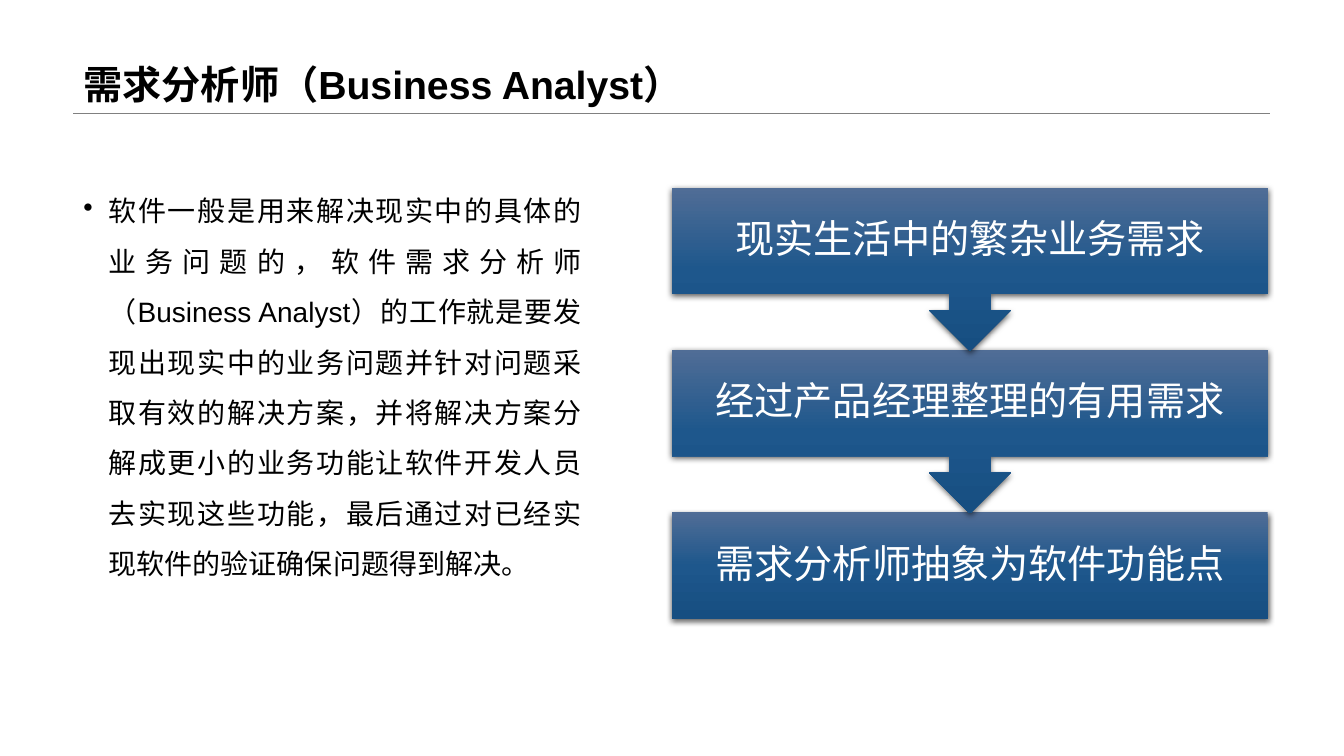
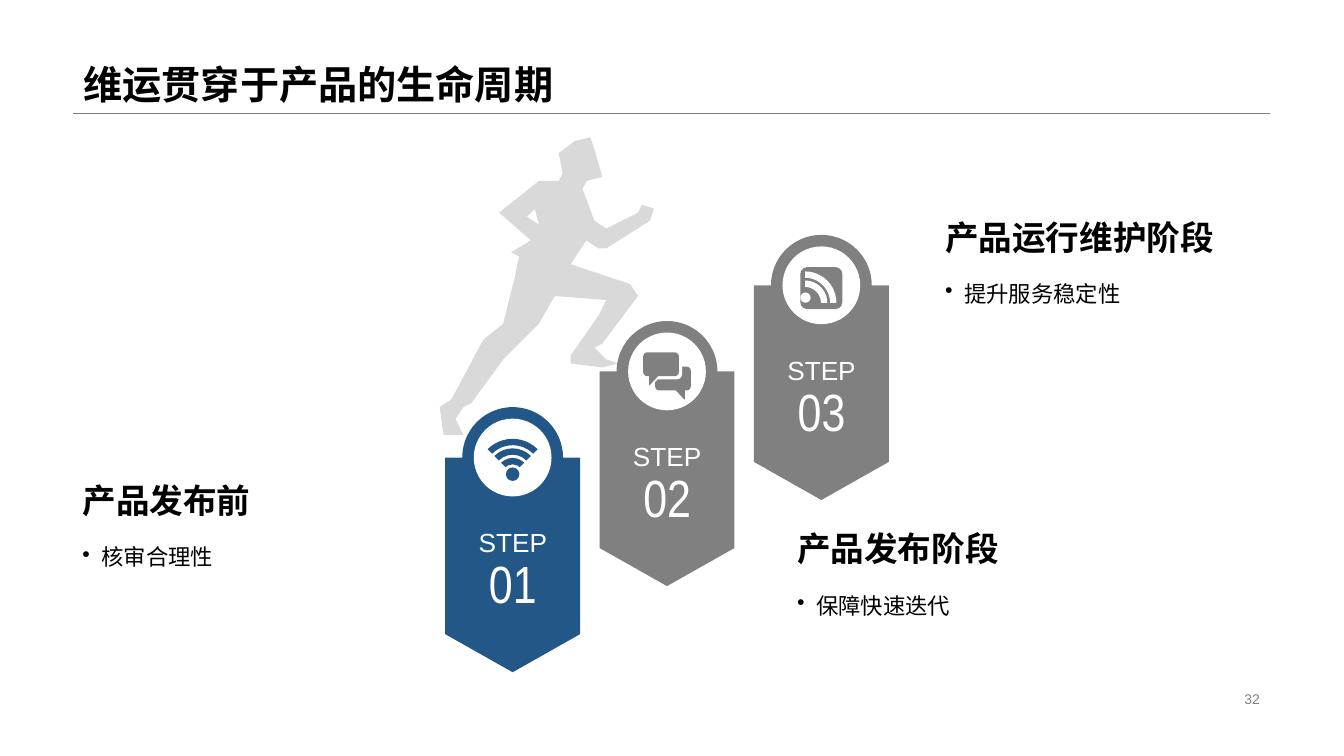
from lxml import etree
from pptx import Presentation
from pptx.dml.color import RGBColor
from pptx.enum import shapes, text
from pptx.oxml import parse_xml
from pptx.oxml.ns import nsdecls, qn
from pptx.util import Cm, Pt
import copy

COLORS = {"ink": "000000", "paper": "FFFFFF", "grey": "808080", "navy": "235787",
          "runner": "D9D9D9", "top": "506D96", "middle": "1E578C", "bottom": "164E81"}
RGB = {name: RGBColor.from_string(value) for name, value in COLORS.items()}
FONT = "Arial"
PRESET = shapes.MSO_SHAPE
ALIGN = text.PP_ALIGN
ANCHOR = text.MSO_ANCHOR


def write(frame, lines, align=ALIGN.LEFT, anchor=ANCHOR.TOP, spacing=1.0, indent=0):
    """Fill a text frame; each line is (text, font values), an indent adds a bullet."""
    frame.word_wrap = True
    frame.auto_size = text.MSO_AUTO_SIZE.NONE
    frame.vertical_anchor = anchor
    for number, (words, look) in enumerate(lines):
        line = frame.add_paragraph() if number else frame.paragraphs[0]
        line.alignment, line.line_spacing = align, spacing
        if indent:
            props = line._p.get_or_add_pPr()
            props.set("marL", str(Cm(indent)))
            props.set("indent", str(-Cm(indent)))
            etree.SubElement(props, qn("a:buChar")).set("char", "•")
        run = line.add_run()
        run.text = words
        values = {"name": FONT, "bold": False, "color": "ink"} | look
        run.font.color.rgb = RGB[values.pop("color")]
        for key, value in values.items():
            setattr(run.font, key, value)


def paint(figure, color):
    figure.shadow.inherit = False
    figure.fill.solid()
    figure.fill.fore_color.rgb = RGB[color]
    figure.line.fill.background()


deck = Presentation()
deck.slide_width, deck.slide_height = Cm(33.87), Cm(19.05)

# Both slides: title above a thin rule
slides = []
for heading in ("需求分析师（Business Analyst）", "维运贯穿于产品的生命周期"):
    slide = deck.slides.add_slide(deck.slide_layouts[5])
    title = slide.shapes.title
    title.left, title.top, title.width, title.height = Cm(1.85), Cm(0), Cm(30.15), Cm(2.86)
    write(title.text_frame, [(heading, {"size": Pt(28), "bold": True})],
          anchor=ANCHOR.BOTTOM, spacing=0.9)
    rule = slide.shapes.add_connector(shapes.MSO_CONNECTOR.STRAIGHT,
                                      Cm(1.85), Cm(2.86), Cm(32), Cm(2.86))
    rule.line.color.rgb = RGB["grey"]
    rule.line.width = Pt(0.25)
    etree.SubElement(rule._element.spPr, qn("a:effectLst"))
    slides.append(slide)
analyst, lifecycle = slides

# Slide 1: explanation on the left, three stages on the right
explanation = analyst.shapes.add_textbox(Cm(1.85), Cm(4.34), Cm(13.06), Cm(13.94))
write(explanation.text_frame, [(
    "软件一般是用来解决现实中的具体的业务问题的，软件需求分析师（Business Analyst）"
    "的工作就是要发现出现实中的业务问题并针对问题采取有效的解决方案，"
    "并将解决方案分解成更小的业务功能让软件开发人员去实现这些功能，"
    "最后通过对已经实现软件的验证确保问题得到解决。", {"size": Pt(20)})],
    align=ALIGN.JUSTIFY, spacing=1.5, indent=0.64)

stages = ("现实生活中的繁杂业务需求", "经过产品经理整理的有用需求", "需求分析师抽象为软件功能点")
for row in reversed(range(len(stages))):
    last = row == len(stages) - 1
    stage = analyst.shapes.add_shape(
        PRESET.RECTANGLE if last else PRESET.DOWN_ARROW_CALLOUT,
        Cm(16.94), Cm(4.73 + 4.09 * row), Cm(15.01), Cm(2.69 if last else 4.12))
    stage.line.fill.background()
    stage.fill.gradient()
    stage.fill.gradient_angle = 270
    stop_list = stage._element.spPr.find(qn("a:gradFill")).find(qn("a:gsLst"))
    stop_list.insert(1, copy.deepcopy(stop_list[0]))
    for stop, (position, shade) in zip(stage.fill.gradient_stops,
                                       ((0, "top"), (0.5, "middle"), (1, "bottom"))):
        stop.position = position
        stop.color.rgb = RGB[shade]
    stage._element.spPr.append(parse_xml(
        f'<a:effectLst {nsdecls("a")}><a:outerShdw blurRad="{Pt(4.5)}" dist="{Pt(1.5)}" '
        f'dir="5400000" rotWithShape="0"><a:srgbClr val="{COLORS["ink"]}">'
        '<a:alpha val="63000"/></a:srgbClr></a:outerShdw></a:effectLst>'))
    for side in ("left", "top", "right", "bottom"):
        setattr(stage.text_frame, f"margin_{side}", Cm(0.55))
    write(stage.text_frame, [(stages[row], {"size": Pt(28), "color": "paper"})],
          align=ALIGN.CENTER, anchor=ANCHOR.MIDDLE, spacing=0.9)

# Slide 2: running figure, in tenths of a centimetre from its top left corner
elbow_gap = [(24, 18), (22, 20), (25, 22)]
outline = [
    (38, 0), (39, 3), (41, 10), (37, 11), (36, 13), (39, 21), (42, 23), (50, 19),
    (51, 17), (54, 18), (53, 21), (42, 28), (40, 28), (37, 26), (33, 32), (48, 37),
    (50, 40), (41, 52), (39, 53), (42, 56), (45, 57), (41, 58), (33, 57), (33, 55),
    (40, 45), (42, 41), (29, 40), (25, 47), (16, 56), (8, 67), (6, 68), (4, 71),
    (6, 75), (1, 75), (0, 68), (3, 66), (11, 51), (16, 47), (19, 35), (20, 30),
    (18, 29), (23, 26), (15, 19), (25, 11), (30, 11), (31, 9), (30, 4), (34, 1)]
builder = lifecycle.shapes.build_freeform(*elbow_gap[0], scale=Cm(0.1))
builder.add_line_segments(elbow_gap[1:])
builder.move_to(*outline[0])
builder.add_line_segments(outline[1:])
paint(builder.convert_to_shape(Cm(11.08), Cm(3.46)), "runner")

# Step badges rise to the right by equal amounts
centers = [(12.92 + 3.89 * step, 11.53 - 2.17 * step) for step in range(3)]
for step, (x, y) in enumerate(centers):
    color = "grey" if step else "navy"
    builder = lifecycle.shapes.build_freeform(Cm(x - 1.7), Cm(y))
    builder.add_line_segments([(Cm(x + dx), Cm(y + dy)) for dx, dy in (
        (1.7, 0), (1.7, 4.45), (0, 5.41), (-1.7, 4.45))])
    paint(builder.convert_to_shape(), color)
    for radius, tint in ((1.27, color), (0.98, "paper")):
        paint(lifecycle.shapes.add_shape(PRESET.OVAL, Cm(x - radius), Cm(y - radius),
                                         Cm(2 * radius), Cm(2 * radius)), tint)
    label = lifecycle.shapes.add_textbox(Cm(x - 1.14), Cm(y + 1.53), Cm(2.29), Cm(2.74))
    write(label.text_frame, [
        ("STEP", {"size": Pt(18.7), "color": "paper"}),
        (f"{step + 1:02}", {"size": Pt(37.4), "color": "paper", "name": "Arial Narrow"})],
        align=ALIGN.CENTER, anchor=ANCHOR.MIDDLE, spacing=0.9)

# Icon parts: step, preset, offset from the badge centre, half sizes, colour, adjustments
icons = [(0, PRESET.OVAL, 0, 0.42, 0.17, 0.17, "navy", ()),
         (2, PRESET.ROUNDED_RECTANGLE, 0, 0.07, 0.53, 0.53, "grey", ()),
         (2, PRESET.OVAL, -0.4, 0.31, 0.13, 0.13, "paper", ())]
# Signal and feed waves; block arc angles are degrees times 0.6
for step, dx, dy, radii, color, angles in (
        (0, 0, 0.42, (0.89, 0.65, 0.41), "navy", (225, 315)),
        (2, -0.41, 0.44, (0.79, 0.56), "paper", (270, 0))):
    icons += [(step, PRESET.BLOCK_ARC, dx, dy, radius, radius, color,
               [angle * 0.6 for angle in angles] + [0.08 / radius]) for radius in radii]
# Speech bubbles: back, white gap, front
icons += [(1, PRESET.ROUNDED_RECTANGULAR_CALLOUT, side * 0.15, side * 0.18,
           0.45 + grow, 0.3 + grow, color, (side * 0.33, 0.9, 0.17))
          for side, grow, color in ((1, 0, "grey"), (-1, 0.08, "paper"), (-1, 0, "grey"))]
for step, preset, dx, dy, half_width, half_height, color, adjustments in icons:
    x, y = centers[step]
    part = lifecycle.shapes.add_shape(
        preset, Cm(x + dx - half_width), Cm(y + dy - half_height),
        Cm(2 * half_width), Cm(2 * half_height))
    paint(part, color)
    for index, value in enumerate(adjustments):
        part.adjustments[index] = value

for left, top, width, phase, task in (
        (1.83, 12.01, 8.79, "产品发布前", "核审合理性"),
        (19.84, 13.23, 7.47, "产品发布阶段", "保障快速迭代"),
        (23.57, 5.38, 8.43, "产品运行维护阶段", "提升服务稳定性")):
    phase_box = lifecycle.shapes.add_textbox(Cm(left), Cm(top), Cm(width), Cm(1.22))
    write(phase_box.text_frame, [(phase, {"size": Pt(24), "bold": True})], anchor=ANCHOR.BOTTOM)
    task_box = lifecycle.shapes.add_textbox(Cm(left), Cm(top + 1.22), Cm(width), Cm(2.41))
    write(task_box.text_frame, [(task, {"size": Pt(16)})], spacing=1.5, indent=0.48)

page_number = lifecycle.shapes.add_textbox(Cm(23.93), Cm(17.32), Cm(8.07), Cm(0.58))
write(page_number.text_frame, [("32", {"size": Pt(10), "color": "grey"})],
      align=ALIGN.RIGHT, anchor=ANCHOR.MIDDLE)

deck.save("out.pptx")
